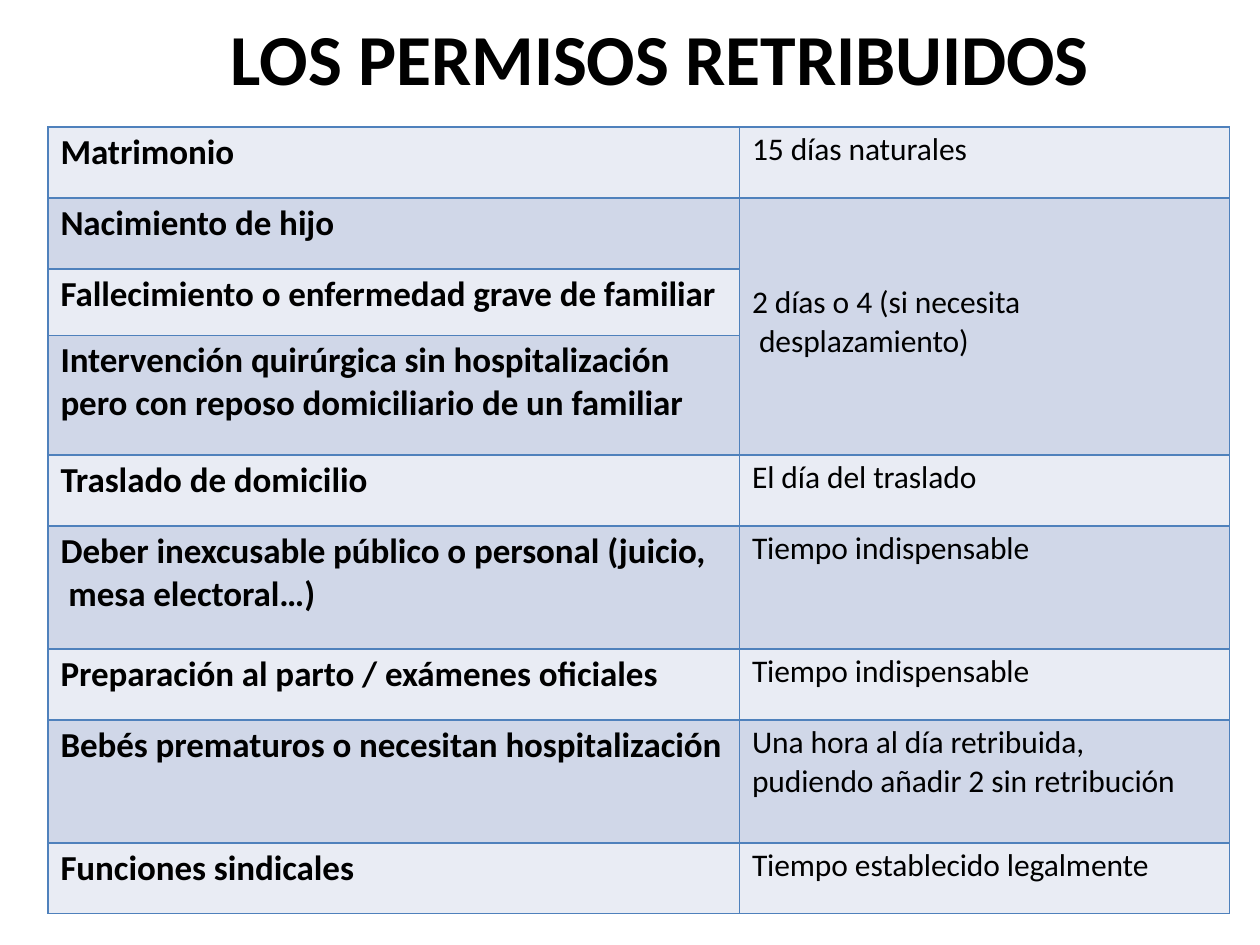
from pptx import Presentation
from pptx.dml.color import RGBColor
from pptx.enum.text import MSO_ANCHOR, MSO_AUTO_SIZE, PP_ALIGN
from pptx.oxml import parse_xml
from pptx.oxml.ns import nsdecls
from pptx.util import Cm, Pt

TOP, MIDDLE = MSO_ANCHOR.TOP, MSO_ANCHOR.MIDDLE
LEFT = PP_ALIGN.LEFT
NO_AUTOFIT = MSO_AUTO_SIZE.NONE
TITLE_ONLY = 5

BLACK = RGBColor(0x00, 0x00, 0x00)
BORDER = RGBColor(0x4F, 0x81, 0xBC)
BANDS = (RGBColor(0xE9, 0xEC, 0xF4), RGBColor(0xD0, 0xD7, 0xE8))

COL_WIDTHS = (13.94, 9.88)
MERGED_ROWS = (1, 3)  # these leaves share one duration

# Leave, duration, row height in cm
PERMITS = [
    ("Matrimonio", "15 días naturales", 1.43),
    ("Nacimiento de hijo", "2 días o 4 (si necesita\v desplazamiento)", 1.43),
    ("Fallecimiento o enfermedad grave de familiar", None, 1.34),
    ("Intervención quirúrgica sin hospitalización\v"
     "pero con reposo domiciliario de un familiar", None, 2.41),
    ("Traslado de domicilio", "El día del traslado", 1.43),
    ("Deber inexcusable público o personal (juicio,\v mesa electoral…)",
     "Tiempo indispensable", 2.48),
    ("Preparación al parto / exámenes oficiales", "Tiempo indispensable", 1.43),
    ("Bebés prematuros o necesitan hospitalización",
     "Una hora al día retribuida,\npudiendo añadir 2 sin retribución", 2.48),
    ("Funciones sindicales", "Tiempo establecido legalmente", 1.43),
]


def write_text(tf, text, size, bold=False, before=0, tracking=-5):
    """Fill a text frame; only the first paragraph has space before it."""
    tf.text = text
    for i, p in enumerate(tf.paragraphs):
        p.alignment = LEFT
        p.space_before = Pt(0 if i else before)
        for r in p.runs:
            r.font.name = "Calibri"
            r.font.size = Pt(size)
            r.font.bold = bold
            r.font.color.rgb = BLACK
            r.font._element.set("spc", str(tracking))


def set_borders(cell):
    tc_pr = cell._tc.get_or_add_tcPr()
    for i, side in enumerate(("lnL", "lnR", "lnT", "lnB")):
        tc_pr.insert(i, parse_xml(
            f'<a:{side} {nsdecls("a")} w="{Pt(1)}"><a:solidFill>'
            f'<a:srgbClr val="{BORDER}"/></a:solidFill></a:{side}>'))


def place_title(s, left, top, width, height):
    title = s.shapes.title
    title.left, title.top = left, top
    title.width, title.height = width, height
    tf = title.text_frame
    tf.margin_left = tf.margin_top = tf.margin_right = tf.margin_bottom = 0
    tf.vertical_anchor = TOP
    tf.auto_size = NO_AUTOFIT
    tf.word_wrap = True
    write_text(tf, "LOS PERMISOS RETRIBUIDOS", 41, bold=True, before=1.1)


def place_table(s, left, top):
    width = Cm(sum(COL_WIDTHS))
    height = Cm(sum(row[2] for row in PERMITS))
    table = s.shapes.add_table(len(PERMITS), len(COL_WIDTHS),
                               left, top, width, height).table
    table.first_row = table.horz_banding = False
    for column, col_width in zip(table.columns, COL_WIDTHS):
        column.width = Cm(col_width)

    for i, (permit, duration, row_height) in enumerate(PERMITS):
        table.rows[i].height = Cm(row_height)
        for j, text in enumerate((permit, duration)):
            cell = table.cell(i, j)
            cell.margin_left, cell.margin_top = Cm(0.25), Cm(0.08)
            cell.margin_right = cell.margin_bottom = 0
            cell.fill.solid()
            cell.fill.fore_color.rgb = BANDS[i % 2]
            set_borders(cell)
            if text:
                write_text(cell.text_frame, text, 18 if j else 20,
                           bold=j == 0, before=2.4)

    # One centred duration for the family leaves
    first, last = MERGED_ROWS
    shared = table.cell(first, 1)
    shared.merge(table.cell(last, 1))
    shared.vertical_anchor = MIDDLE
    shared.margin_bottom = Cm(0.25)


def main():
    prs = Presentation()
    prs.slide_width, prs.slide_height = Cm(25.4), Cm(19.05)
    s = prs.slides.add_slide(prs.slide_layouts[TITLE_ONLY])
    place_title(s, Cm(4.65), Cm(0.28), Cm(17.42), Cm(1.8))
    place_table(s, Cm(0.97), Cm(2.56))
    prs.save("out.pptx")


if __name__ == "__main__":
    main()
